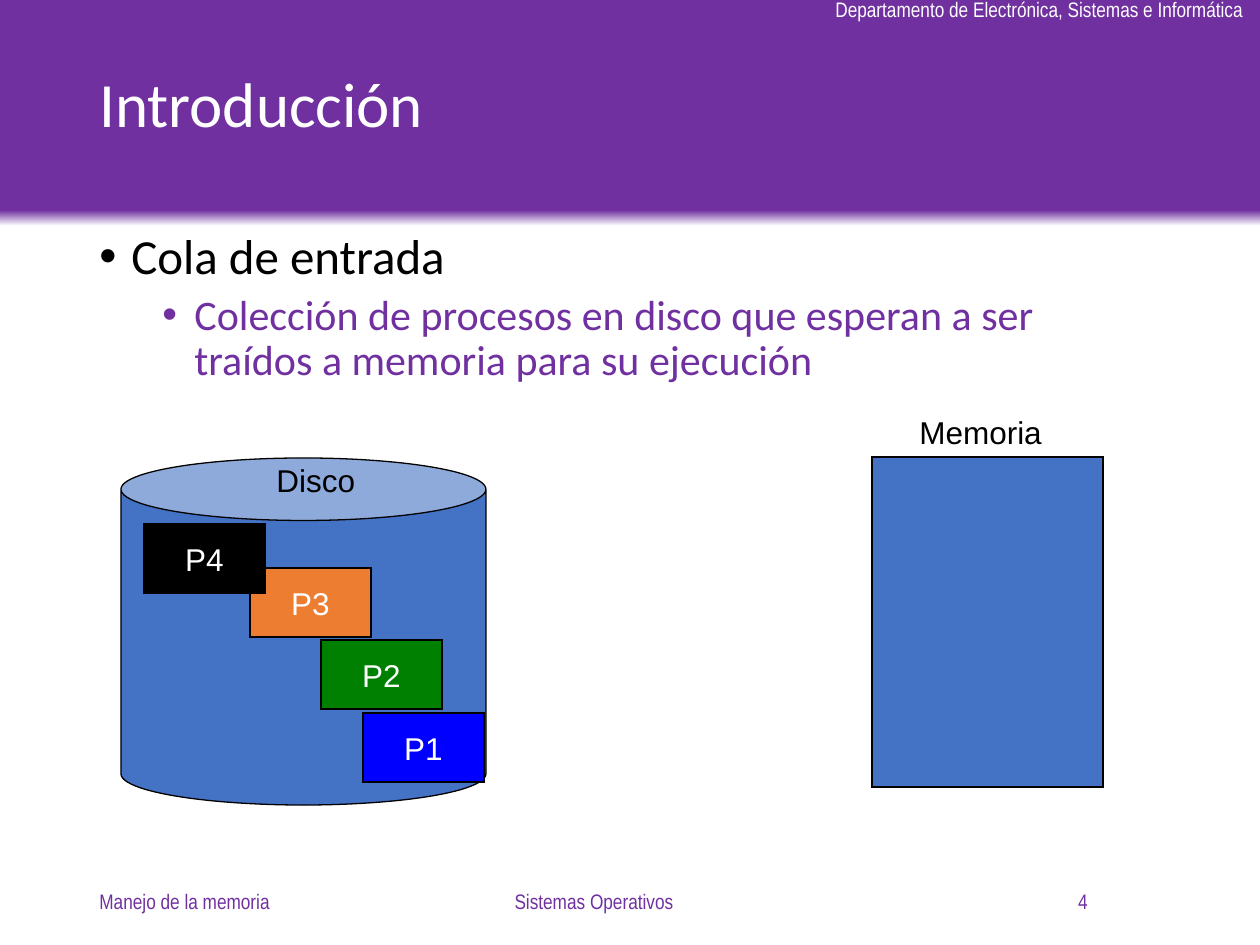
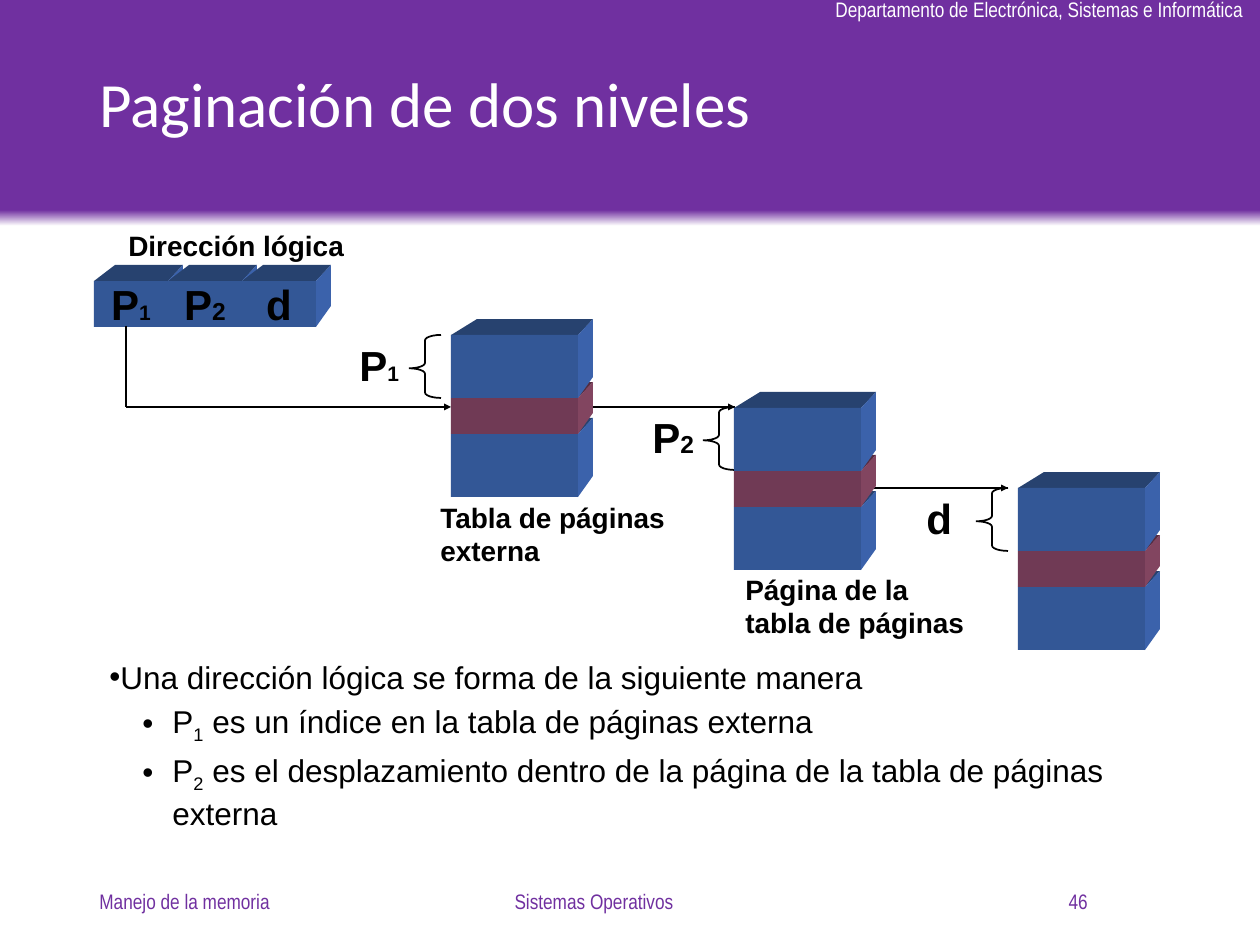
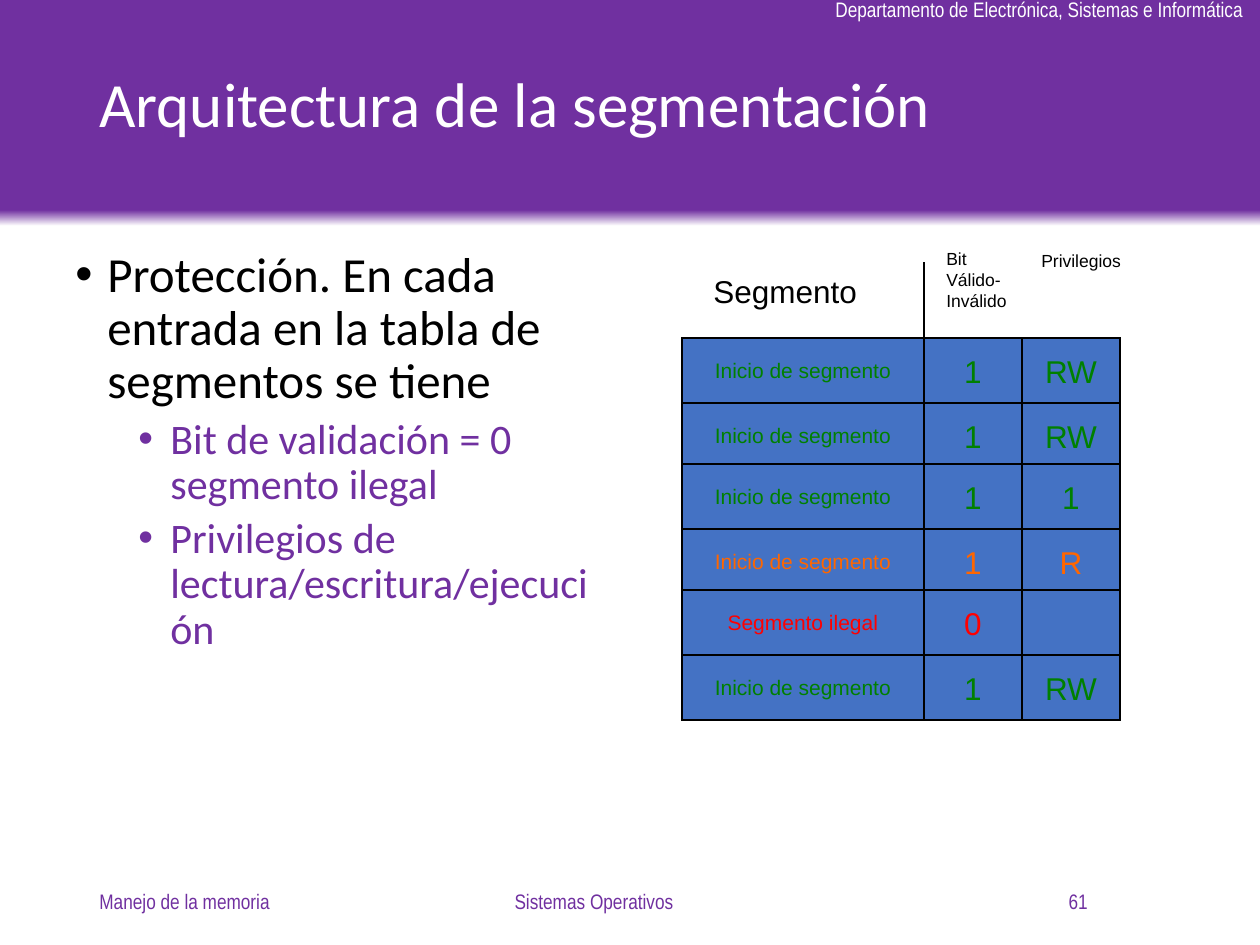
"""Build three slides on memory management for an operating systems course."""
from lxml.etree import SubElement
from pptx import Presentation
from pptx.dml.color import RGBColor
from pptx.enum.shapes import MSO_CONNECTOR as CONN, MSO_SHAPE as SHAPE
from pptx.enum.text import MSO_ANCHOR as ANCHOR, PP_ALIGN as ALIGN
from pptx.oxml.ns import qn
from pptx.util import Pt

PX = 914400 / 126
COLORS = {
    "purple": "7030A0", "white": "FFFFFF", "black": "000000", "blue": "4472C4",
    "pure_blue": "0000FF", "green": "008000", "orange": "ED7D31",
    "warn": "FF6600", "red": "FF0000",
    "page_front": "335796", "page_top": "27426F", "page_side": "3B62AB",
    "entry_front": "703A55", "entry_top": "552C40", "entry_side": "824560",
}
SANS, NARROW, TITLE = "Arial", "Arial Narrow", "Calibri"


def rgb(name):
    """Return the named colour."""
    return RGBColor.from_string(COLORS[name])


def px(*lengths):
    """Turn pixel lengths into EMU."""
    return [round(n * PX) for n in lengths]


def add_para(tf, runs, color="black", font=SANS, bold=False, align=ALIGN.LEFT,
             before=0, spacing=None, bullet=None):
    """Add a paragraph of (text, size[, baseline]) runs; bullet is (margin, indent)."""
    p = tf.paragraphs[0]
    first = not p.runs
    if not first:
        p = tf.add_paragraph()
    p.alignment = align
    if before and not first:
        p.space_before = Pt(before)
    if spacing:
        p.line_spacing = spacing
    if bullet:
        pPr = p._p.get_or_add_pPr()
        for key, value in zip(("marL", "indent"), px(*bullet)):
            pPr.set(key, str(value))
        SubElement(pPr, qn("a:buFont"), typeface=SANS)
        SubElement(pPr, qn("a:buChar"), char="•")
    for text, size, *baseline in runs:
        r = p.add_run()
        r.text = text
        r.font.size, r.font.name, r.font.bold = Pt(size), font, bold
        r.font.color.rgb = rgb(color)
        if baseline:
            r._r.get_or_add_rPr().set("baseline", str(baseline[0]))


def add_box(s, x, y, w, h, wrap=True, anchor=ANCHOR.TOP):
    """Add an empty text box and return its text frame."""
    tf = s.shapes.add_textbox(*px(x, y, w, h)).text_frame
    tf.word_wrap = wrap
    tf.vertical_anchor = anchor
    return tf


def add_label(s, x, y, w, h, *lines, wrap=False, **style):
    """Add a text box holding one paragraph per line of runs."""
    tf = add_box(s, x, y, w, h, wrap)
    for runs in lines:
        add_para(tf, runs, **style)


def paint(sp, fill, line=None, width=0.75):
    """Set fill and line of a shape and drop its shadow."""
    sp.shadow.inherit = False
    if fill:
        sp.fill.solid()
        sp.fill.fore_color.rgb = rgb(fill)
    else:
        sp.fill.background()
    if line:
        sp.line.color.rgb = rgb(line)
        sp.line.width = Pt(width)
        SubElement(sp.line._get_or_add_ln(), qn("a:miter"), lim="800000")
    else:
        sp.line.fill.background()


def add_shape(s, kind, x, y, w, h, fill, line="black", width=0.75, runs=(), **style):
    """Add a preset shape with optional centred text."""
    sp = s.shapes.add_shape(kind, *px(x, y, w, h))
    paint(sp, fill, line, width)
    if runs:
        sp.text_frame.word_wrap = False
        sp.text_frame.vertical_anchor = ANCHOR.MIDDLE
        add_para(sp.text_frame, runs, align=ALIGN.CENTER, **style)
    return sp


def add_line(s, x1, y1, x2, y2, width=1, arrow=False):
    """Add a straight black line, with an arrowhead at its end if asked."""
    cx = s.shapes.add_connector(CONN.STRAIGHT, *px(x1, y1, x2, y2))
    cx.line.color.rgb = rgb("black")
    cx.line.width = Pt(width)
    if arrow:
        SubElement(cx.line._get_or_add_ln(), qn("a:tailEnd"), type="triangle", w="sm", len="sm")
    SubElement(cx._element.spPr, qn("a:effectLst"))


def add_face(s, points, fill):
    """Add a filled polygon through the given points."""
    builder = s.shapes.build_freeform(*points[0], scale=PX)
    builder.add_line_segments(points[1:])
    paint(builder.convert_to_shape(), fill)


def add_prism(s, x, y, w, h, kind, runs=()):
    """Add a block seen in perspective: top, right side and front with text."""
    right, bottom, far, back = x + w, y + h, x + w + 15, y - 16
    add_face(s, [(x, y), (x + w // 10 + 14, back), (far, back), (right, y)], kind + "_top")
    add_face(s, [(right, y), (far, back), (far, bottom - 21), (right, bottom)], kind + "_side")
    add_shape(s, SHAPE.RECTANGLE, x, y, w, h, kind + "_front", None, runs=runs, bold=True)


def add_stack(s, x, y):
    """Add a page table: an entry between two pages, lowest block first."""
    for kind, dy, h in (("page", 99, 63), ("entry", 63, 36), ("page", 0, 63)):
        add_prism(s, x, y + dy, 127, h, kind)


def add_brace(s, x, y):
    """Add a left brace as tall as a page."""
    sp = add_shape(s, SHAPE.LEFT_BRACE, x, y, 32, 63, None, width=1)
    sp.adjustments[0], sp.adjustments[1] = 0.17, 0.53


def add_body(s, x, y, w, h, heading, *items):
    """Add a bulleted heading with purple sub-items."""
    tf = add_box(s, x, y, w, h)
    add_para(tf, [(heading, 28)], font=TITLE, spacing=0.9, bullet=(32, -32))
    for item in items:
        add_para(tf, [(item, 24)], "purple", TITLE, before=5, spacing=0.9, bullet=(95, -32))


def add_segment_rows(s, y, columns, rows):
    """Add rows of cells; columns are (x, width, size), rows a colour and texts."""
    for i, (color, *texts) in enumerate(rows):
        top = y + 126 * (i // 2) + 65 * (i % 2)
        for (x, w, size), text in zip(columns, texts):
            runs = [(text, size)] if text else ()
            add_shape(s, SHAPE.RECTANGLE, x, top, w, 65, "blue", runs=runs, color=color)


def new_slide(prs, title, number):
    """Add a slide with the shared band, title and footers."""
    s = prs.slides.add_slide(prs.slide_layouts[6])
    band = add_shape(s, SHAPE.RECTANGLE, 0, 0, 1260, 226, "purple", None)
    band.fill.gradient()
    band.fill.gradient_angle = 90
    for stop, color, position in zip(band.fill.gradient_stops, ("white", "purple"), (0, 0.07)):
        stop.color.rgb = rgb(color)
        stop.position = position
    add_label(s, 823, -10, 438, 38, [("Departamento de Electrónica, Sistemas e Informática", 12)],
              color="white", font=NARROW)
    tf = add_box(s, 87, 20, 1086, 175, anchor=ANCHOR.MIDDLE)
    add_para(tf, [(title, 36)], "white", TITLE, spacing=0.9)
    for x, w, text, align in ((87, 284, "Manejo de la memoria", ALIGN.LEFT),
                              (381, 426, "Sistemas Operativos", ALIGN.CENTER),
                              (816, 284, str(number), ALIGN.RIGHT)):
        tf = add_box(s, x, 876, w, 50, anchor=ANCHOR.MIDDLE)
        add_para(tf, [(text, 12)], "purple", NARROW, align=align)
    return s


def build_intro(prs):
    """Show processes on disk waiting for memory."""
    s = new_slide(prs, "Introducción", 4)
    add_body(s, 87, 226, 1086, 626, "Cola de entrada",
             "Colección de procesos en disco que esperan a ser traídos a memoria para su ejecución")
    disk = add_shape(s, SHAPE.CAN, 121, 458, 365, 347, "blue")
    disk.adjustments[0] = 0.18
    add_shape(s, SHAPE.RECTANGLE, 872, 457, 231, 330, "blue")
    for name, x, y, fill in (("P1", 363, 713, "pure_blue"), ("P2", 321, 640, "green"),
                             ("P3", 250, 568, "orange"), ("P4", 144, 524, "black")):
        add_shape(s, SHAPE.RECTANGLE, x, y, 121, 69, fill, runs=[(name, 18)], color="white")
    add_label(s, 907, 407, 150, 50, [("Memoria", 18)], wrap=True)
    add_label(s, 264, 455, 105, 50, [("Disco", 18)], wrap=True)


def build_paging(prs):
    """Show how a logical address walks a two-level page table."""
    s = new_slide(prs, "Paginación de dos niveles", 46)
    p1, p2, d = [("P", 24), ("1", 12)], [("P", 24), ("2", 14)], [("d", 24)]
    for i, runs in enumerate((p1, p2, d)):
        add_prism(s, 94 + 74 * i, 281, 74, 46, "page", runs)
    add_line(s, 126, 326, 126, 407)
    add_line(s, 126, 407, 451, 407, arrow=True)
    add_line(s, 588, 407, 735, 407, arrow=True)
    add_line(s, 872, 488, 1008, 488, arrow=True)
    for x, y in ((409, 335), (703, 407), (976, 488)):
        add_brace(s, x, y)
    for x, y in ((451, 335), (734, 408), (1018, 488)):
        add_stack(s, x, y)
    for x, y, w, h, *lines in (
            (347, 333, 66, 63, p1), (640, 405, 67, 63, p2), (914, 486, 50, 63, d),
            (116, 222, 242, 46, [("Dirección lógica", 16)]),
            (428, 494, 252, 81, [("Tabla de páginas", 16)], [("externa", 16)]),
            (733, 566, 244, 81, [("Página de la", 16)], [("tabla de páginas", 16)])):
        add_label(s, x, y, w, h, *lines, bold=True)
    tf = add_box(s, 97, 652, 1063, 179)
    add_para(tf, [("Una dirección lógica se forma de la siguiente manera", 18)], bullet=(0, 0))
    for index, meaning in (
            ("1", " es un índice en la tabla de páginas externa"),
            ("2", " es el desplazamiento dentro de la página de la tabla de páginas externa")):
        add_para(tf, [("P", 18), (index, 18, -25000), (meaning, 18)], before=3.6, bullet=(63, -30))


def build_segmentation(prs):
    """Show the protection bits of a segment table."""
    s = new_slide(prs, "Arquitectura de la segmentación", 61)
    add_body(s, 63, 244, 544, 601,
             "Protección. En cada entrada en la tabla de segmentos se tiene",
             "Bit de validación = 0 segmento ilegal",
             "Privilegios de lectura/escritura/ejecución")
    start = "Inicio de segmento"
    add_segment_rows(s, 338, ((682, 242, 12), (924, 98, 18), (1022, 98, 18)), [
        ("green", start, "1", "RW"),
        ("green", start, "1", "RW"),
        ("green", start, "1", "1"),
        ("warn", start, "1", "R"),
        ("red", "Segmento ilegal", "0", ""),
        ("green", start, "1", "RW"),
    ])
    add_line(s, 924, 350, 924, 262, width=0.75)
    add_label(s, 701, 266, 169, 50, [("Segmento", 18)])
    add_label(s, 934, 242, 92, 76, [("Bit Válido-Inválido", 10)], wrap=True)
    add_label(s, 1029, 244, 111, 34, [("Privilegios", 10)], wrap=True)


def main():
    """Build and save the presentation."""
    prs = Presentation()
    prs.slide_width, prs.slide_height = px(1260, 945)
    build_intro(prs)
    build_paging(prs)
    build_segmentation(prs)
    prs.save("out.pptx")


if __name__ == "__main__":
    main()
